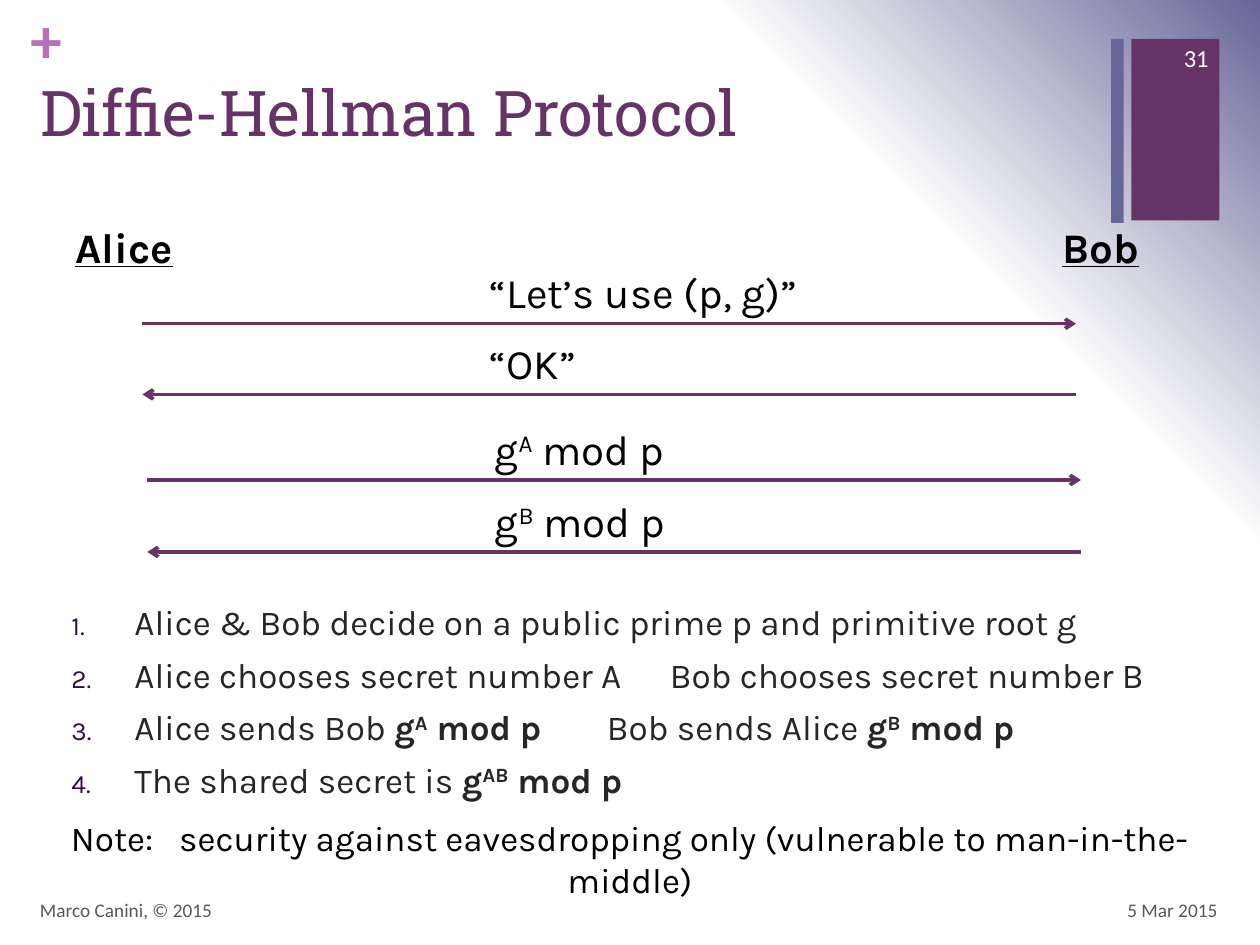
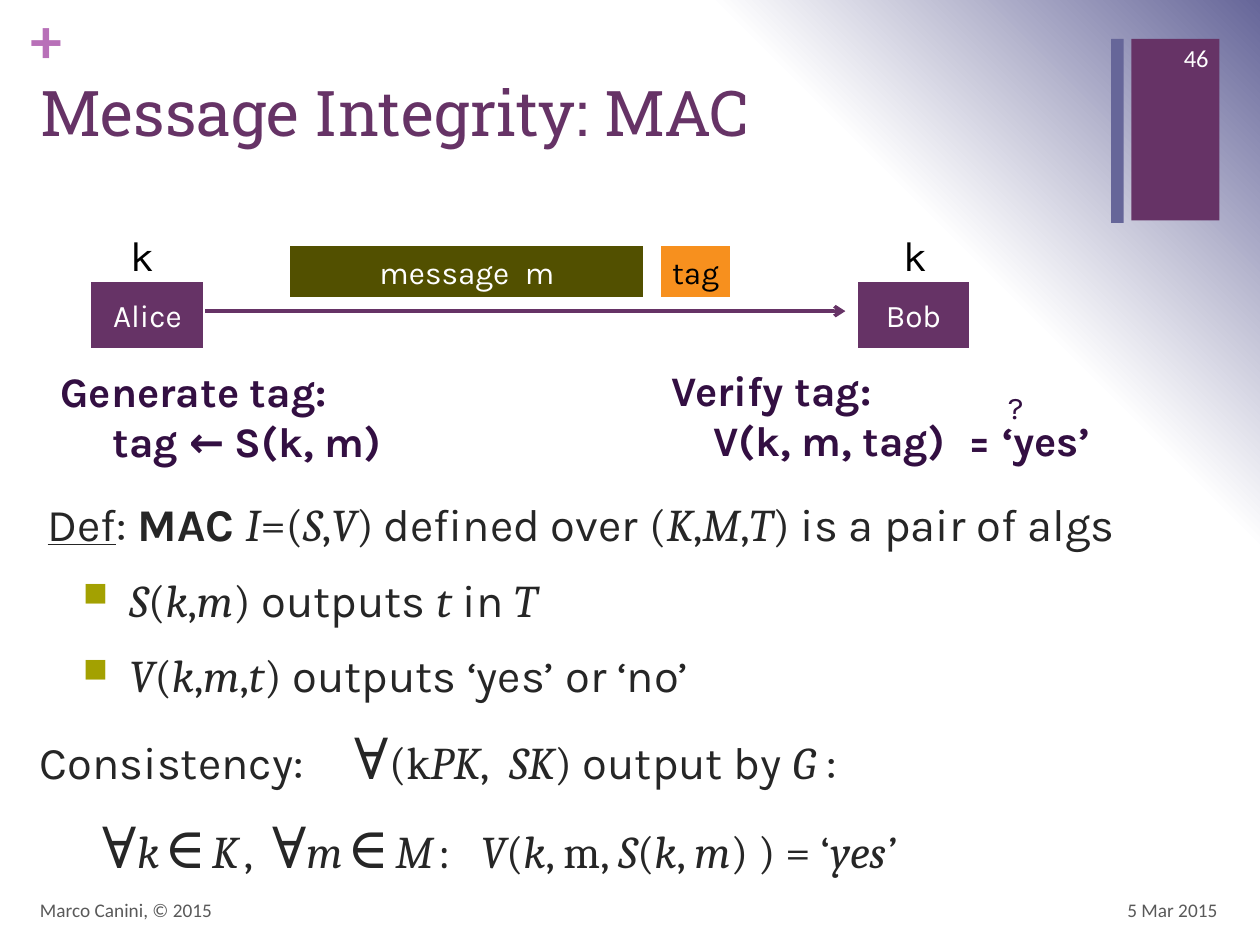
from itertools import groupby

from lxml import etree
from pptx import Presentation
from pptx.dml.color import RGBColor
from pptx.enum import shapes, text
from pptx.oxml import parse_xml
from pptx.oxml.ns import nsdecls, qn
from pptx.util import Pt

PLUM = RGBColor(0x66, 0x33, 0x66)
SLATE = RGBColor(0x66, 0x66, 0x99)
LILAC = RGBColor(0xB8, 0x70, 0xB8)
GRAPE = RGBColor(0x33, 0x0F, 0x42)
OLIVE = RGBColor(0x52, 0x50, 0x00)
LIME = RGBColor(0xA3, 0xA1, 0x01)
AMBER = RGBColor(0xF7, 0x90, 0x1E)
INK = RGBColor(0x26, 0x26, 0x26)
GREY = RGBColor(0x59, 0x59, 0x59)
BLACK = RGBColor(0, 0, 0)
WHITE = RGBColor(0xFF, 0xFF, 0xFF)

SANS, SERIF, HEAD, SMALL = "Karla", "Cambria", "Roboto Slab", "Calibri"
LEFT, MID, RIGHT = text.PP_ALIGN.LEFT, text.PP_ALIGN.CENTER, text.PP_ALIGN.RIGHT
BOLD = {"bold": True}
RAISED = {"base": 30000}

BACK = f"""<p:bg {nsdecls("p", "a")}><p:bgPr><a:gradFill rotWithShape="1"><a:gsLst>
<a:gs pos="0"><a:srgbClr val="{WHITE}"/></a:gs>
<a:gs pos="75000"><a:srgbClr val="{WHITE}"/></a:gs>
<a:gs pos="100000"><a:srgbClr val="{SLATE}"/></a:gs></a:gsLst>
<a:path path="circle"><a:fillToRect t="100000" r="100000"/></a:path>
</a:gradFill><a:effectLst/></p:bgPr></p:bg>"""


def add_run(par, words, size=18, color=BLACK, font=SANS, bold=False,
            ital=False, under=False, base=0, spc=0):
    """Add one styled run; spc is letter spacing in points."""
    run = par.add_run()
    run.text = words
    face = run.font
    face.size, face.name, face.bold = Pt(size), font, bold
    face.italic, face.underline = ital, under
    face.color.rgb = color
    props = run._r.get_or_add_rPr()
    if base:
        props.set("baseline", str(base))
    if spc:
        props.set("spc", str(round(spc * 100)))


def add_par(frame, runs, align=LEFT, before=0, margin=0, indent=0,
            bullet=None, tint=LIME, tabs=(), **style):
    """Add a paragraph of runs, each a string or a (string, style) pair."""
    par = frame.paragraphs[0]
    if par.runs:
        par = frame.add_paragraph()
    par.alignment, par.space_before = align, Pt(before)
    props = par._p.get_or_add_pPr()
    props.set("marL", str(Pt(margin)))
    props.set("indent", str(Pt(indent)))
    if bullet:
        color = etree.SubElement(props, qn("a:buClr"))
        etree.SubElement(color, qn("a:srgbClr"), val=str(tint))
        etree.SubElement(props, qn("a:buSzPct"), val="75000")
        if bullet == "1.":
            etree.SubElement(props, qn("a:buAutoNum"), type="arabicPeriod")
        else:
            etree.SubElement(props, qn("a:buChar"), char=bullet)
    if tabs:
        stops = etree.SubElement(props, qn("a:tabLst"))
        for stop in tabs:
            etree.SubElement(stops, qn("a:tab"), pos=str(Pt(stop)), algn="l")
    for item in runs:
        words, extra = (item, {}) if isinstance(item, str) else item
        add_run(par, words, **{**style, **extra})


def add_box(slide, x, y, w, h, *runs, mid=False, inset=True, **style):
    """Add a text box, with a first paragraph if runs are given."""
    frame = slide.shapes.add_textbox(Pt(x), Pt(y), Pt(w), Pt(h)).text_frame
    frame.word_wrap = True
    if mid:
        frame.vertical_anchor = text.MSO_ANCHOR.MIDDLE
    if not inset:
        frame.margin_left = frame.margin_right = 0
        frame.margin_top = frame.margin_bottom = 0
    if runs:
        add_par(frame, runs, **style)
    return frame


def add_rect(slide, x, y, w, h, fill, *runs, color=WHITE):
    """Add a filled rectangle, white-edged and labelled if runs are given."""
    rect = slide.shapes.add_shape(
        shapes.MSO_SHAPE.RECTANGLE, Pt(x), Pt(y), Pt(w), Pt(h))
    rect.shadow.inherit = False
    rect.fill.solid()
    rect.fill.fore_color.rgb = fill
    if not runs:
        rect.line.fill.background()
        return
    rect.line.color.rgb, rect.line.width = WHITE, Pt(2.25)
    rect.text_frame.vertical_anchor = text.MSO_ANCHOR.MIDDLE
    add_par(rect.text_frame, runs, align=MID, color=color)


def add_arrow(slide, start, end, y):
    """Add a level arrow from start to end."""
    line = slide.shapes.add_connector(
        shapes.MSO_CONNECTOR.STRAIGHT, Pt(start), Pt(y), Pt(end), Pt(y))
    line.line.color.rgb, line.line.width = PLUM, Pt(2)
    etree.SubElement(line.line._get_or_add_ln(), qn("a:tailEnd"), type="arrow")
    etree.SubElement(line._element.spPr, qn("a:effectLst"))


def math(words, **style):
    """Split a formula into italic letters, upright signs and large symbols."""
    runs = []
    for (ital, big), part in groupby(words, lambda c: (c.isalpha(), c in "∀∈")):
        look = {"font": SERIF, "ital": ital, **style}
        if big:
            look["size"] = 32.4
        runs.append(("".join(part), look))
    return runs


def power(exp, **style):
    """Return the runs of g to the given power, mod p."""
    return [("g", style), (exp, {**style, **RAISED}), (" mod p", style)]


def add_page(deck, title, number):
    """Add a slide with background, bands, title and footer."""
    slide = deck.slides.add_slide(deck.slide_layouts[6])
    slide.element.cSld.insert(0, parse_xml(BACK))
    add_rect(slide, 646.5, 22.3, 50.4, 103.7, PLUM)
    add_box(slide, 17.3, 0, 20.9, 43.9, "+", inset=False,
            size=36, font=SMALL, color=LILAC, bold=True)
    add_rect(slide, 635, 22.3, 7.2, 105.1, SLATE)
    add_box(slide, 15.8, 38.2, 618.5, 87.8, title,
            size=36, font=HEAD, color=PLUM)
    foot = {"mid": True, "size": 11, "font": SMALL, "color": GREY}
    add_box(slide, 535, 505.4, 167.8, 28.8, "5 Mar 2015", align=RIGHT, **foot)
    add_box(slide, 15.8, 505.4, 482.4, 28.8, "Marco Canini, © 2015", **foot)
    add_box(slide, 653.8, 18.7, 43.9, 28.8, number, mid=True, align=RIGHT,
            size=14, font=SMALL, color=WHITE)
    return slide


def add_talk(slide):
    """Add the two parties and the messages they exchange."""
    for name, x, w in (("Alice", 36, 72.7), ("Bob", 599.8, 61.2)):
        add_box(slide, x, 123.1, w, 36, name, size=24, bold=True, under=True)
    talk = (
        (81.4, 185, 196.6, ["“Let’s use (p, g)”"]),
        (81.4, 225.4, 68.4, ["“OK”"]),
        (84.2, 274.3, 113, power("A")),
        (84.2, 315.4, 113, power("B")),
    )
    for turn, (x, y, w, runs) in enumerate(talk):
        ends = (x, x + 533.5)
        add_arrow(slide, *(ends[::-1] if turn % 2 else ends), y)
        add_box(slide, x + 191.5, y - 36, w, 36, *runs, size=24)


def add_steps(slide):
    """Add the numbered steps and the closing note."""
    steps = (
        ["Alice & Bob decide on a public prime p and primitive root g"],
        ["Alice chooses secret number A\tBob chooses secret number B"],
        ["Alice sends Bob ", *power("A", **BOLD),
         "\t\tBob sends Alice ", *power("B", **BOLD)],
        ["The shared secret is ", *power("AB", **BOLD)],
    )
    body = add_box(slide, 15.8, 339.8, 686.9, 128.9)
    for runs in steps:
        add_par(body, runs, before=6, margin=54, indent=-36, bullet="1.",
                tint=GRAPE, size=20, color=INK)
    add_box(slide, 5.8, 463, 708.5, 31.7, "Note:", (" ", {"spc": 10}),
            "security against eavesdropping only "
            "(vulnerable to man-in-the-middle)", align=MID, size=20)


def add_flow(slide):
    """Add the tagged message on its way between the parties."""
    for name, x, key in (("Alice", 51.1, 67.7), ("Bob", 488.9, 509)):
        add_rect(slide, x, 159.8, 66.2, 40.3, PLUM, name)
        add_box(slide, key, 127.4, 27.4, 36, "k", size=24)
    add_arrow(slide, 117.4, 483.1, 177.8)
    add_rect(slide, 164.9, 139.7, 203.8, 31, OLIVE,
             "message", (" ", {"spc": 4.5}), "m")
    add_rect(slide, 376.6, 139.7, 41.8, 31, AMBER, "tag", color=BLACK)
    look = {"size": 24, "color": GRAPE, "bold": True}
    make = add_box(slide, 27.4, 205.2, 257.8, 65.5, "Generate tag:", **look)
    add_par(make, ["tag ← S(k, m)"], margin=30, **look)
    check = add_box(slide, 376.6, 204.5, 284.4, 65.5, "Verify tag:", **look)
    add_par(check, ["V(k, m, tag)", (" ", {"spc": 7.5}), "= ‘yes’"],
            margin=24, **look)
    add_box(slide, 568.8, 218.2, 23, 28.8, "?", color=GRAPE)


def add_defs(slide):
    """Add the definition and the consistency rule."""
    look = {"size": 25.9, "color": INK, "before": 12}
    item = {"margin": 51.1, "indent": -26.6, "bullet": "■", **look}
    body = add_box(slide, 15.8, 280.1, 686.9, 225.4)
    add_par(body, [("Def", {"under": True}), ": ", ("MAC ", BOLD),
                   *math("I=(S,V) "), "defined over ", *math("(K,M,T)"),
                   " is a pair of algs"], margin=4.3, **look)
    add_par(body, [*math("S(k,m)"), " outputs ", *math("t"), " in ",
                   *math("T")], **item)
    add_par(body, [*math("V(k,m,t)"), " outputs ‘yes’ or ‘no’"], **item)
    add_par(body, ["Consistency:\t", *math("∀("), *math("k", ital=False),
                   *math("PK,"), *math(" ", spc=5.7), *math("SK)"),
                   " output by ", *math("G"), " :"], tabs=[175], **look)
    add_par(body, ["\t", *math("∀"), *math("k∈K, ", spc=3), *math("∀"),
                   *math("m∈M", spc=3), *math(":\tV(k, "),
                   *math("m, ", ital=False), *math("S(k, m) ) = ‘"),
                   *math("yes’", ital=True)], tabs=[144, 372], **look)


def main():
    """Build the two slides and save them."""
    deck = Presentation()
    deck.slide_width, deck.slide_height = Pt(720), Pt(540)
    page = add_page(deck, "Diffie-Hellman Protocol", "31")
    add_talk(page)
    add_steps(page)
    page = add_page(deck, "Message Integrity: MAC", "46")
    add_flow(page)
    add_defs(page)
    deck.save("out.pptx")


if __name__ == "__main__":
    main()
